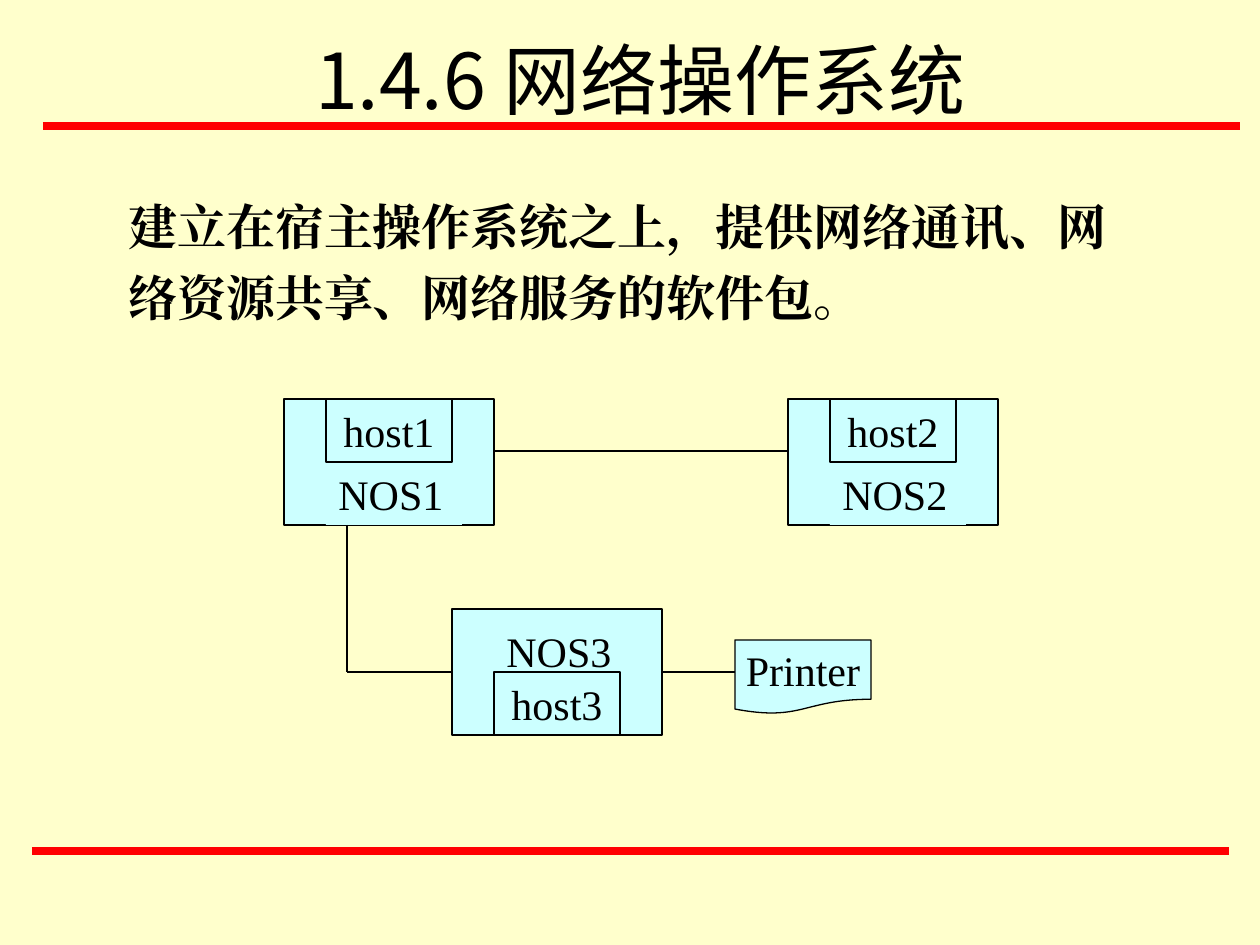
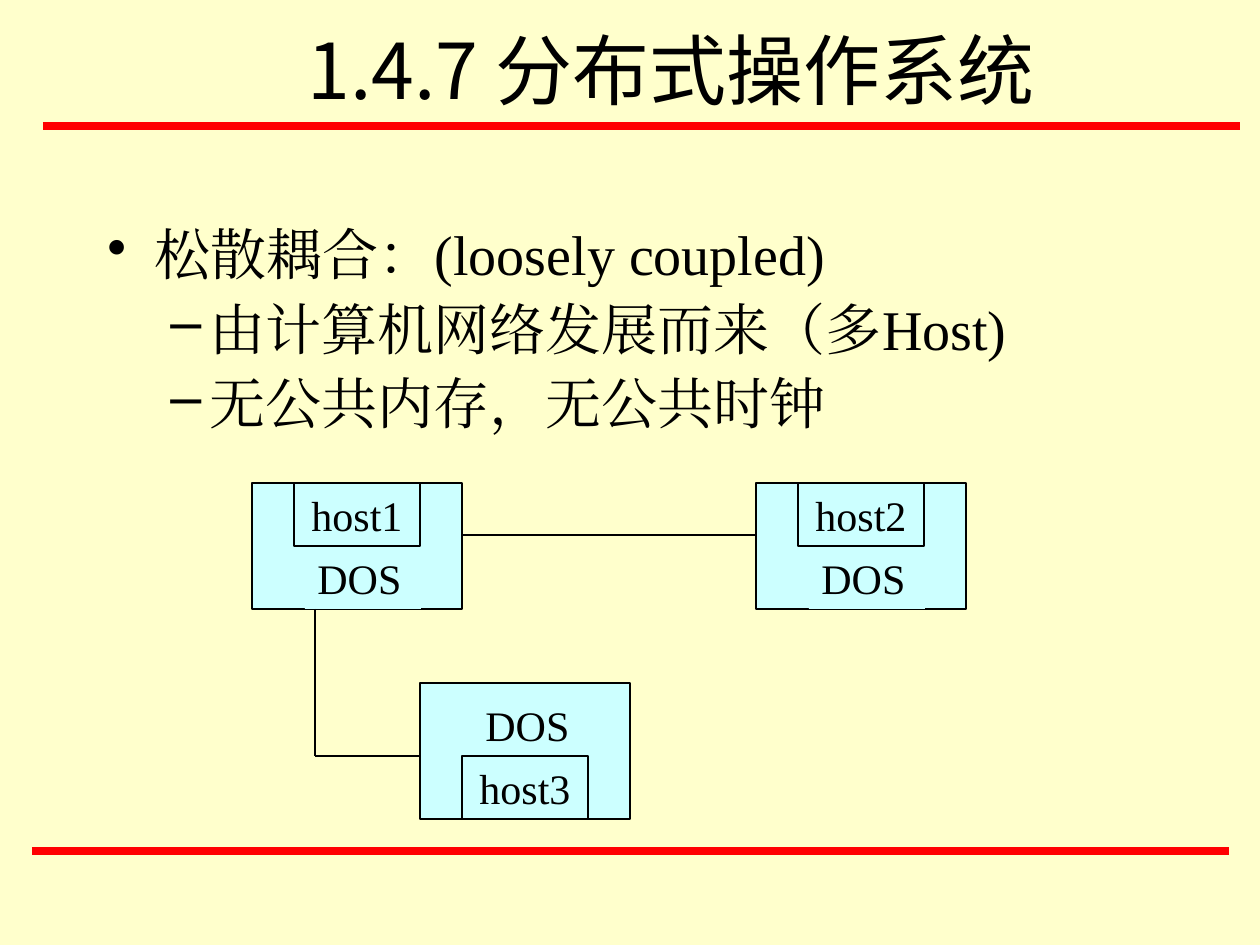
import pptx
import pptx.dml.color
import pptx.enum.shapes
import pptx.enum.text
import pptx.oxml.ns
import pptx.util
import lxml.etree

PX = 914400 // 126
COLORS = {"page": "FFFFCC", "rule": "FF0000", "box": "CCFFFF", "ink": "000000"}
LATIN, CJK = "Times New Roman", "Noto Sans CJK SC"
RGB = {name: pptx.dml.color.RGBColor.from_string(value) for name, value in COLORS.items()}
SHAPES = pptx.enum.shapes.MSO_SHAPE
ALIGN = pptx.enum.text.PP_ALIGN
ANCHOR = pptx.enum.text.MSO_ANCHOR
qn = pptx.oxml.ns.qn


def style_text(shape, size, font=LATIN, align=ALIGN.LEFT, anchor=ANCHOR.TOP, wrap=True):
    frame = shape.text_frame
    frame.word_wrap = wrap
    frame.vertical_anchor = anchor
    for paragraph in frame.paragraphs:
        paragraph.alignment = align
        for run in paragraph.runs:
            run.font.size = pptx.util.Pt(size)
            run.font.name = font
            run.font.color.rgb = RGB["ink"]
            east_asian = lxml.etree.SubElement(run.font._element, qn("a:ea"))
            east_asian.set("typeface", font)


def draw_line(shapes, ends, color="ink", width=0.75):
    line = shapes.add_connector(pptx.enum.shapes.MSO_CONNECTOR.STRAIGHT, *[v * PX for v in ends])
    line.line.color.rgb = RGB[color]
    line.line.width = pptx.util.Pt(width)
    lxml.etree.SubElement(line._element.spPr, qn("a:effectLst"))
    return line


prs = pptx.Presentation()
prs.slide_width, prs.slide_height = 1260 * PX, 945 * PX
background = prs.slide_master.background.fill
background.solid()
background.fore_color.rgb = RGB["page"]

# Each network: title and its place, nodes (x, y, height, host, system),
# system label (indent, width), wires
NODE_W, HOST_W, HOST_H, HOST_INDENT = 210, 126, 63, 42
networks = [
    {"title": "1.4.6 网络操作系统", "title_at": (105, 0),
     "nodes": [(452, 609, 126, "host3", "NOS3"), (788, 399, 126, "host2", "NOS2"),
               (284, 399, 126, "host1", "NOS1")],
     "label": (42, 136),
     "wires": [(494, 451, 788, 451), (347, 525, 347, 672)]},
    {"title": "1.4.7 分布式操作系统", "title_at": (136, -10),
     "nodes": [(420, 683, 136, "host3", "DOS"), (756, 483, 126, "host2", "DOS"),
               (252, 483, 126, "host1", "DOS")],
     "label": (53, 116),
     "wires": [(462, 535, 756, 535), (315, 609, 315, 756), (315, 756, 420, 756)]},
]

for network in networks:
    slide = prs.slides.add_slide(prs.slide_layouts[6])

    # Red rules and title
    draw_line(slide.shapes, (32, 851, 1229, 851), "rule", 4.5)
    draw_line(slide.shapes, (43, 126, 1240, 126), "rule", 4.5)
    left, top = network["title_at"]
    title = slide.shapes.add_textbox(left * PX, top * PX, 1071 * PX, 158 * PX)
    title.text_frame.text = network["title"]
    style_text(title, 44, CJK, ALIGN.CENTER, ANCHOR.MIDDLE)

    # Boxes of the diagram: (preset, place, text, outlined)
    boxes = []
    label_indent, label_w = network["label"]
    for x, y, height, host, system in network["nodes"]:
        host_y = y + height - HOST_H if host == "host3" else y
        label_y = y + 10 if host == "host3" else y + HOST_H
        boxes += [
            (SHAPES.RECTANGLE, (x, y, NODE_W, height), "", True),
            (SHAPES.RECTANGLE, (x + label_indent, label_y, label_w, HOST_H), system, False),
            (SHAPES.RECTANGLE, (x + HOST_INDENT, host_y, HOST_W, HOST_H), host, True)]
    if network is networks[0]:
        boxes.append((SHAPES.FLOWCHART_DOCUMENT, (735, 640, 136, 74), "Printer", True))

    diagram = slide.shapes.add_group_shape().shapes
    drawn = []
    for preset, place, text, outlined in boxes:
        box = diagram.add_shape(preset, *[v * PX for v in place])
        box.shadow.inherit = False
        box.fill.solid()
        box.fill.fore_color.rgb = RGB["box"]
        if outlined:
            box.line.color.rgb = RGB["ink"]
            box.line.width = pptx.util.Pt(0.75)
        else:
            box.line.fill.background()
        if text:
            box.text_frame.text = text
            if outlined:
                style_text(box, 24, align=ALIGN.CENTER, anchor=ANCHOR.MIDDLE, wrap=False)
            else:
                style_text(box, 24)
        drawn.append(box)

    # Wires between the nodes
    for wire in network["wires"]:
        draw_line(diagram, wire)
    if network is networks[0]:
        node3 = drawn[0]
        draw_line(diagram, (347, 672, 452, 672)).end_connect(node3, 1)
        draw_line(diagram, (662, 672, 735, 672)).begin_connect(node3, 3)

# Definition of a network operating system
definition = prs.slides[0].shapes.add_textbox(116 * PX, 179 * PX, 1050 * PX, 154 * PX)
sentence = definition.text_frame.paragraphs[0]
sentence.text = "建立在宿主操作系统之上，提供网络通讯、网络资源共享、网络服务的软件包"
sentence.runs[0].font.bold = True
sentence.add_run().text = "。"
sentence.line_spacing = 1.2
style_text(definition, 28)

# Traits of a distributed operating system: (text, bullet, margin, hanging indent)
traits = [("松散耦合：(loosely coupled)", "•", 47, 47),
          ("由计算机网络发展而来（多Host)", "–", 102, 39),
          ("无公共内存，无公共时钟", "–", 102, 39)]
coupling = prs.slides[1].shapes.add_textbox(95 * PX, 221 * PX, 1071 * PX, 231 * PX)
coupling.text_frame.text = "\n".join(text for text, *_ in traits)
for paragraph, (_, bullet, margin, hanging) in zip(coupling.text_frame.paragraphs, traits):
    paragraph.level = 0 if bullet == "•" else 1
    paragraph.line_spacing = 0.9
    paragraph.space_before = pptx.util.Pt(8)
    properties = paragraph._p.get_or_add_pPr()
    properties.set("marL", str(margin * PX))
    properties.set("indent", str(-hanging * PX))
    lxml.etree.SubElement(properties, qn("a:buChar")).set("char", bullet)
style_text(coupling, 32)

prs.save("out.pptx")
